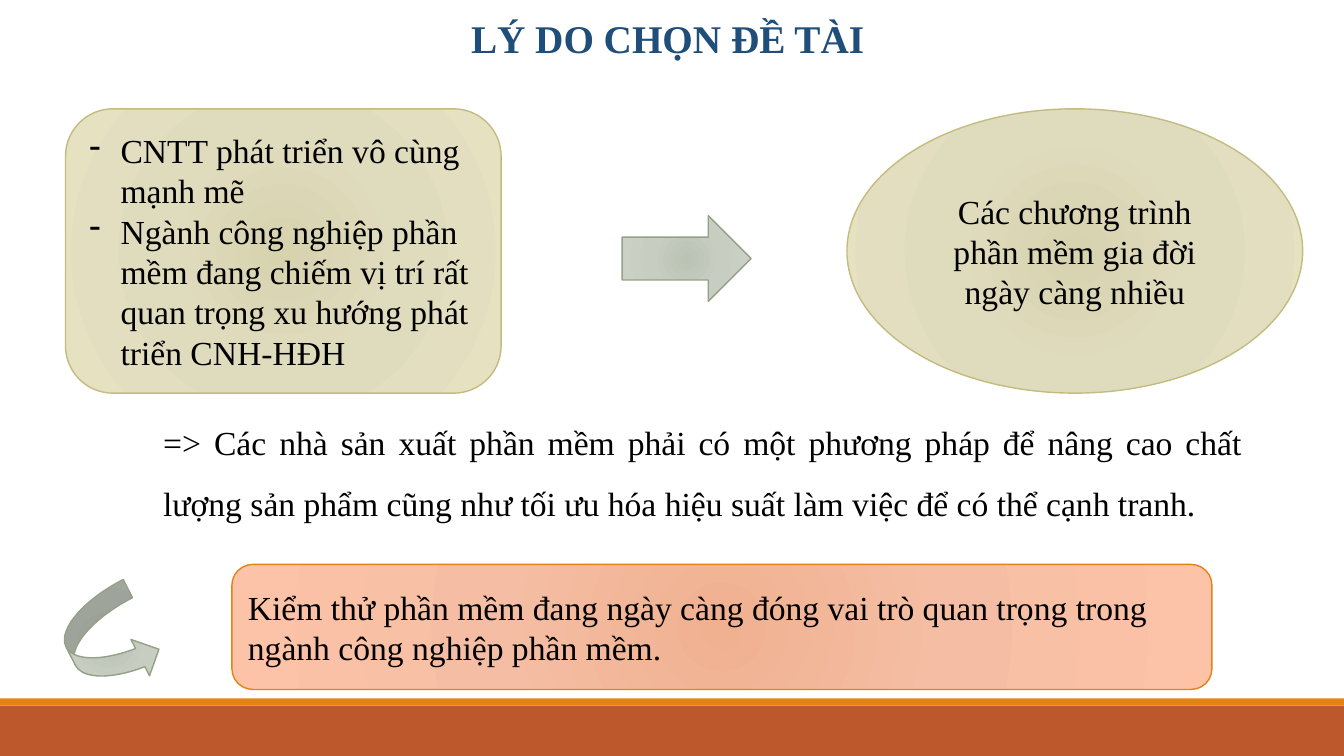
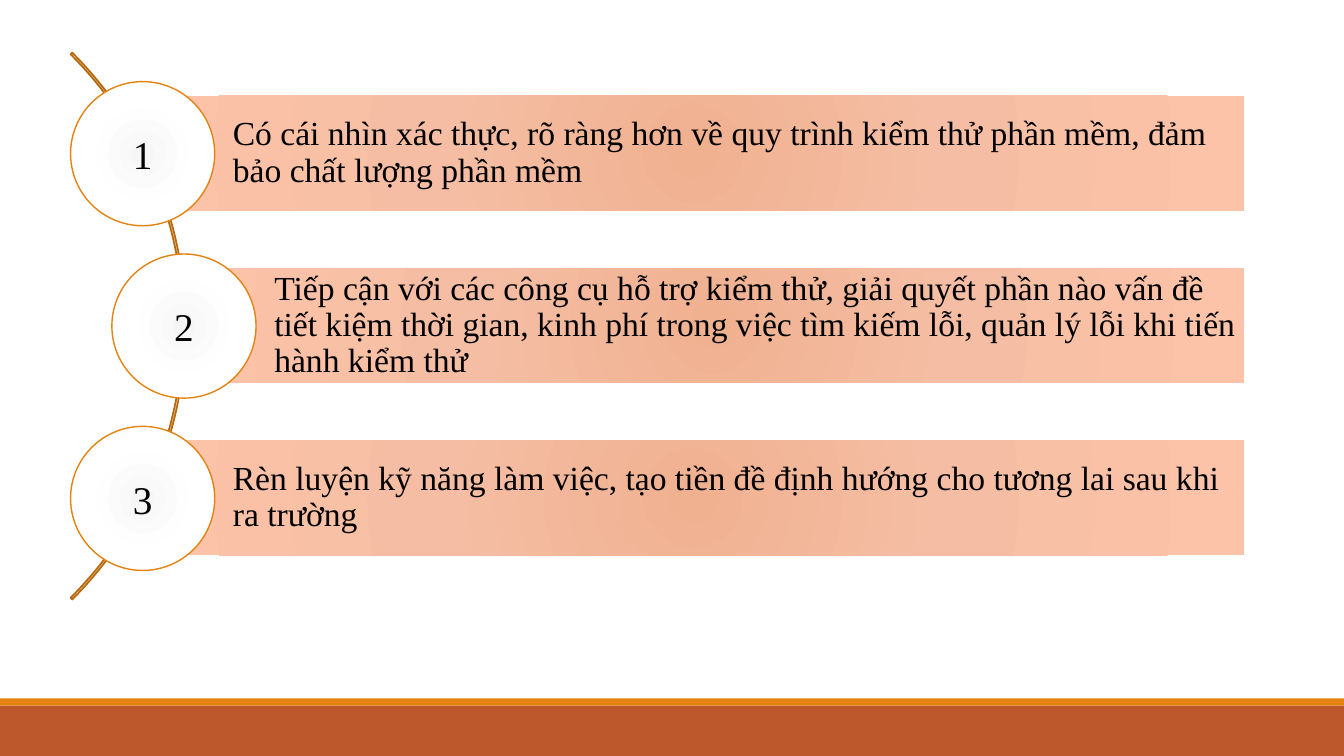
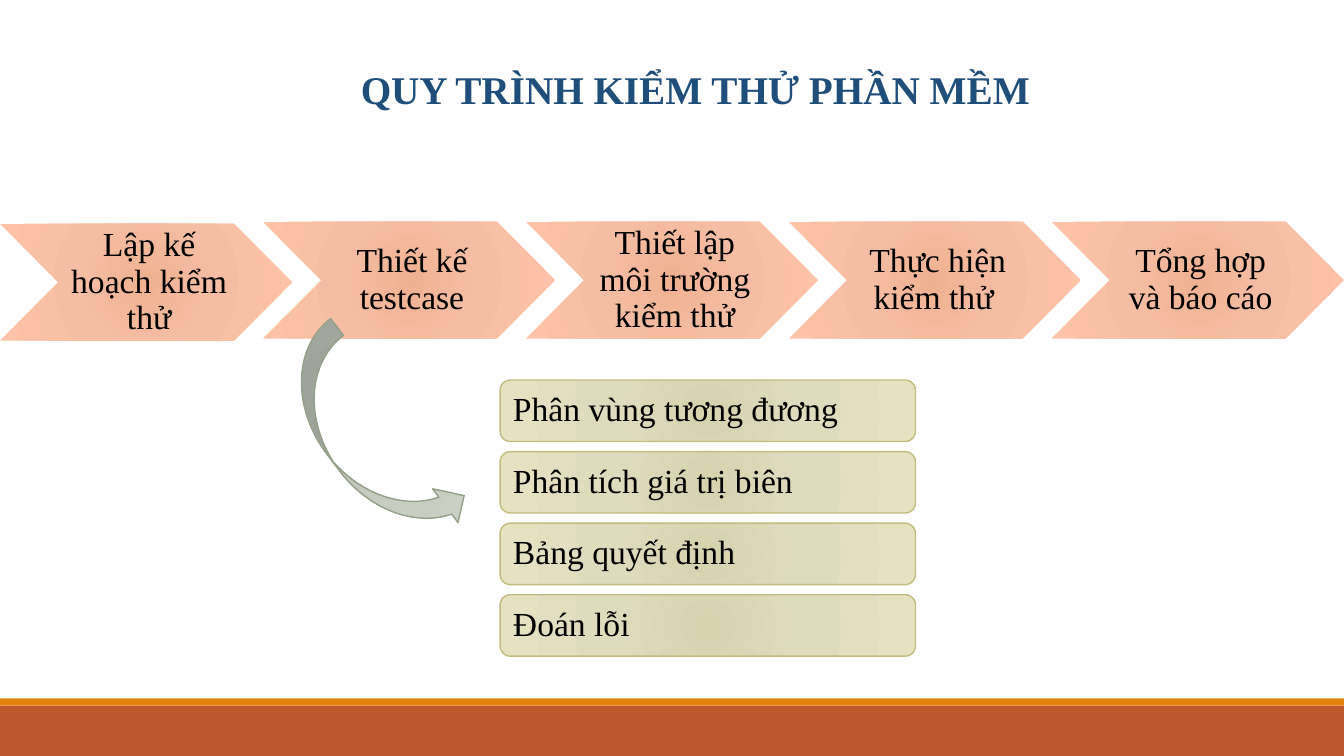
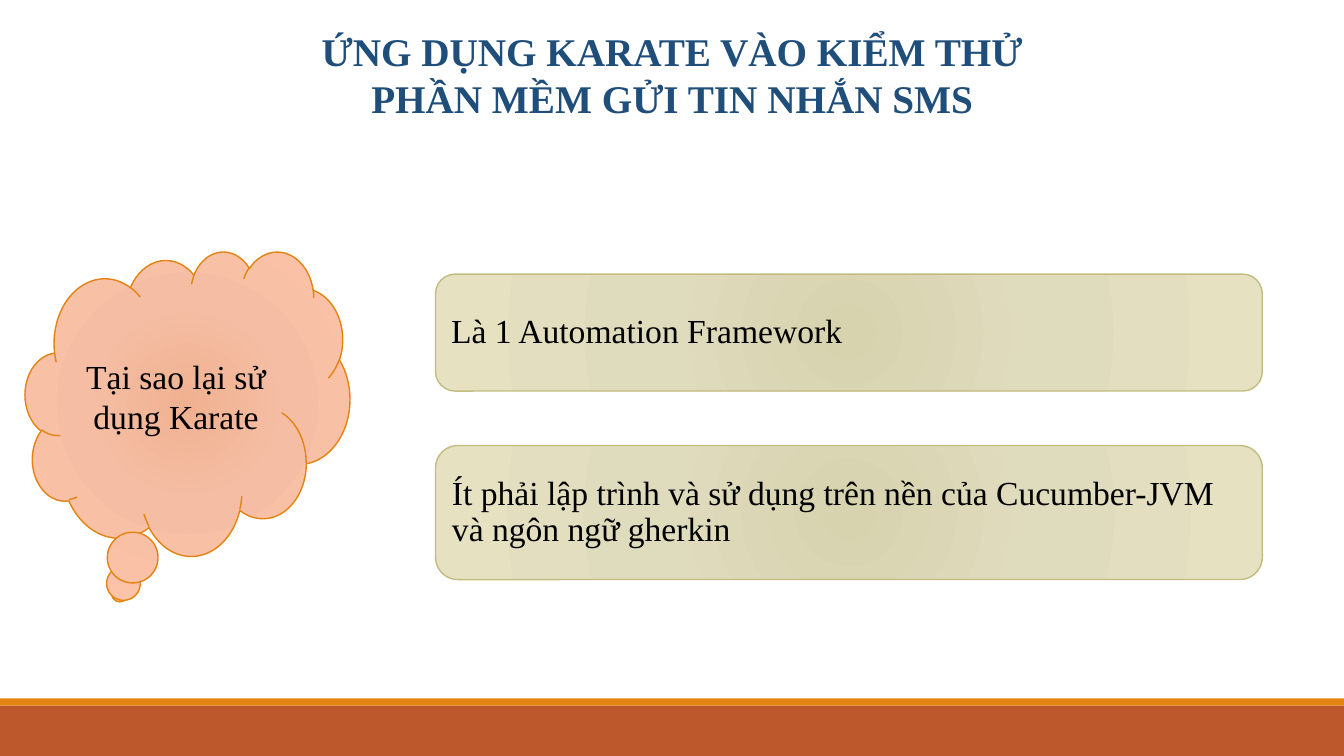
"""Build four slides on software testing."""
from dataclasses import dataclass
from typing import NamedTuple, Optional

from pptx import Presentation
from pptx.dml.color import RGBColor
from pptx.enum.shapes import MSO_SHAPE
from pptx.enum.text import MSO_ANCHOR, PP_ALIGN
from pptx.oxml import parse_xml
from pptx.oxml.ns import nsdecls, qn
from pptx.shapes.autoshape import Shape
from pptx.slide import Slide, SlideLayout
from pptx.text.text import TextFrame
from pptx.util import Inches, Pt

FONT = "Times New Roman"
BLACK = RGBColor(0x00, 0x00, 0x00)
NAVY = RGBColor(0x1E, 0x4E, 0x79)
RUST = RGBColor(0xBD, 0x58, 0x2C)
ORANGE = RGBColor(0xE4, 0x83, 0x12)
BROWN = RGBColor(0xB7, 0x69, 0x0E)
KHAKI = RGBColor(0xC2, 0xBC, 0x80)
MOSS = RGBColor(0x94, 0xA0, 0x88)
SAND_GLOW = (RGBColor(0xD7, 0xD3, 0xAF), RGBColor(0xDF, 0xDB, 0xBD), RGBColor(0xE5, 0xE1, 0xC1))
SAGE_GLOW = (RGBColor(0xBB, 0xC3, 0xB5), RGBColor(0xC7, 0xCD, 0xC1), RGBColor(0xCD, 0xD4, 0xC7))
PEACH_GLOW = (RGBColor(0xF0, 0xB1, 0x91), RGBColor(0xF5, 0xBE, 0xA4), RGBColor(0xFD, 0xC3, 0xA8))
WHITE_GLOW = (RGBColor(0xF6, 0xF6, 0xF6), RGBColor(0xFE, 0xFE, 0xFE), RGBColor(0xFF, 0xFF, 0xFF))
GLOW_STOPS = (0, 45, 100)

SLIDE_WIDTH = 13.33
SLIDE_HEIGHT = 7.5


class Box(NamedTuple):
    left: float
    top: float
    width: float
    height: float

    def lengths(self) -> tuple:
        return tuple(Inches(value) for value in self)


class Insets(NamedTuple):
    left: float = 0.1
    top: float = 0.05
    right: float = 0.1
    bottom: float = 0.05


@dataclass(frozen=True)
class Look:
    glow: tuple[RGBColor, ...] = ()
    solid: Optional[RGBColor] = None
    line: Optional[RGBColor] = None
    line_width: float = 1


class Goal(NamedTuple):
    number: str
    left: float
    text: str


class Reason(NamedTuple):
    top: float
    height: float
    text: str


SAND = Look(SAND_GLOW, line=KHAKI)
SAGE = Look(SAGE_GLOW, line=MOSS)
PEACH = Look(PEACH_GLOW)
PEACH_OUTLINED = Look(PEACH_GLOW, line=ORANGE)
WHITE_DISC = Look(WHITE_GLOW, line=ORANGE)
ARC = Look(line=BROWN, line_width=1.25)

EVEN_INSETS = Insets(0.1, 0.1, 0.1, 0.1)
GOAL_INSETS = Insets(0.9, 0.07, 0.07, 0.07)
STEP_INSETS = Insets(0.1, 0.04, 0.04, 0.04)

GOALS = (
    Goal("1", 1.41, "Có cái nhìn xác thực, rõ ràng hơn về quy trình kiểm thử phần mềm, "
                    "đảm bảo chất lượng phần mềm"),
    Goal("2", 1.82, "Tiếp cận với các công cụ hỗ trợ kiểm thử, giải quyết phần nào vấn đề "
                    "tiết kiệm thời gian, kinh phí trong việc tìm kiếm lỗi, quản lý lỗi "
                    "khi tiến hành kiểm thử"),
    Goal("3", 1.41, "Rèn luyện kỹ năng làm việc, tạo tiền đề định hướng cho tương lai "
                    "sau khi ra trường"),
)
STEPS = ("Lập kế hoạch kiểm thử", "Thiết kế testcase", "Thiết lập môi trường kiểm thử",
         "Thực hiện kiểm thử ", "Tổng hợp và báo cáo")
TECHNIQUES = ("Phân vùng tương đương", "Phân tích giá trị biên", "Bảng quyết định", "Đoán lỗi")
REASONS = (
    Reason(2.72, 1.16, "Là 1 Automation Framework"),
    Reason(4.42, 1.33, "Ít phải lập trình và sử dụng trên nền của Cucumber-JVM "
                       "và ngôn ngữ gherkin"),
)


def write(frame: TextFrame, *lines: str, size: float = 24, color: RGBColor = BLACK,
          bold: bool = False, align: PP_ALIGN = PP_ALIGN.LEFT, spacing: float = 1,
          anchor: MSO_ANCHOR = MSO_ANCHOR.MIDDLE, insets: Insets = Insets(),
          bullet: str = "") -> None:
    """Fill a text frame, one paragraph for each line."""
    frame.word_wrap = True
    frame.vertical_anchor = anchor
    frame.margin_left, frame.margin_top = Inches(insets.left), Inches(insets.top)
    frame.margin_right, frame.margin_bottom = Inches(insets.right), Inches(insets.bottom)
    for index, line in enumerate(lines):
        paragraph = frame.add_paragraph() if index else frame.paragraphs[0]
        paragraph.alignment = align
        paragraph.line_spacing = spacing
        run = paragraph.add_run()
        run.text = line
        run.font.name, run.font.size, run.font.bold = FONT, Pt(size), bold
        run.font.color.rgb = color
        if bullet:
            properties = paragraph._p.get_or_add_pPr()
            properties.set("marL", str(Inches(0.31)))
            properties.set("indent", str(Inches(-0.31)))
            properties.append(parse_xml(f'<a:buChar {nsdecls("a")} char="{bullet}"/>'))


def apply_glow(shape: Shape, colors: tuple[RGBColor, ...]) -> None:
    """Give a shape a round gradient from its centre outwards."""
    stops = "".join(f'<a:gs pos="{stop * 1000}"><a:srgbClr val="{color}"/></a:gs>'
                    for stop, color in zip(GLOW_STOPS, colors))
    gradient = parse_xml(
        f'<a:gradFill {nsdecls("a")} rotWithShape="1"><a:gsLst>{stops}</a:gsLst>'
        '<a:path path="circle"><a:fillToRect l="100000" t="100000" r="100000" b="100000"/>'
        '</a:path></a:gradFill>')
    shape.fill.solid()
    properties = shape.element.spPr
    properties.replace(properties.find(qn("a:solidFill")), gradient)


def draw(slide: Slide, kind: MSO_SHAPE, box: Box, look: Look, rotation: float = 0) -> Shape:
    """Add a preset shape with the given look."""
    shape = slide.shapes.add_shape(kind, *box.lengths())
    shape.shadow.inherit = False
    shape.rotation = rotation
    if look.glow:
        apply_glow(shape, look.glow)
    elif look.solid is not None:
        shape.fill.solid()
        shape.fill.fore_color.rgb = look.solid
    else:
        shape.fill.background()
    if look.line is None:
        shape.line.fill.background()
    else:
        shape.line.color.rgb = look.line
        shape.line.width = Pt(look.line_width)
    return shape


def add_text(slide: Slide, box: Box, text: str, **style) -> None:
    """Add a text box that reads from the top."""
    frame = slide.shapes.add_textbox(*box.lengths()).text_frame
    write(frame, text, anchor=MSO_ANCHOR.TOP, **style)


def add_title(slide: Slide, box: Box, text: str) -> None:
    """Add a slide title in the shared style."""
    add_text(slide, box, text, size=28, color=NAVY, bold=True, align=PP_ALIGN.CENTER)


def set_up_layout(layout: SlideLayout, slide: Slide) -> None:
    """Put the two bottom bands on the layout that all slides share."""
    for placeholder in list(layout.placeholders):
        layout.shapes.element.remove(placeholder.element)
    for top, height, color in ((7, 0.5, RUST), (6.93, 0.07, ORANGE)):
        band = draw(slide, MSO_SHAPE.RECTANGLE, Box(0, top, SLIDE_WIDTH, height),
                    Look(solid=color))
        layout.shapes.element.append(band.element)


def build_motivation(slide: Slide) -> None:
    """Show why the topic was chosen."""
    add_title(slide, Box(2.95, 0.09, 7.44, 0.57), "LÝ DO CHỌN ĐỀ TÀI ")
    context = draw(slide, MSO_SHAPE.ROUNDED_RECTANGLE, Box(0.65, 1.08, 4.32, 2.82), SAND)
    write(context.text_frame, "CNTT phát triển vô cùng mạnh mẽ",
          "Ngành công nghiệp phần mềm đang chiếm vị trí rất quan trọng "
          "xu hướng phát triển CNH-HĐH", bullet="-")
    draw(slide, MSO_SHAPE.RIGHT_ARROW, Box(6.17, 2.14, 1.28, 0.85), SAGE)
    outcome = draw(slide, MSO_SHAPE.OVAL, Box(8.4, 1.08, 4.52, 2.82), SAND)
    write(outcome.text_frame, "Các chương trình phần mềm gia đời ngày càng nhiều",
          align=PP_ALIGN.CENTER)
    add_text(slide, Box(1.52, 3.94, 10.9, 1.24),
             "=> Các nhà sản xuất phần mềm phải có một phương pháp để nâng cao chất lượng "
             "sản phẩm cũng như tối ưu hóa hiệu suất làm việc để có thể cạnh tranh. ",
             align=PP_ALIGN.JUSTIFY, spacing=1.5)
    draw(slide, MSO_SHAPE.CURVED_RIGHT_ARROW, Box(0.68, 5.88, 0.81, 0.98), SAGE, 332.9)
    conclusion = draw(slide, MSO_SHAPE.FLOWCHART_ALTERNATE_PROCESS,
                      Box(2.3, 5.6, 9.72, 1.24), PEACH_OUTLINED)
    write(conclusion.text_frame, "Kiểm thử phần mềm đang ngày càng đóng vai trò quan trọng "
                                 "trong ngành công nghiệp phần mềm.")


def build_goals(slide: Slide) -> None:
    """List the numbered goals along an arc."""
    arc = draw(slide, MSO_SHAPE.BLOCK_ARC, Box(-5.83, -0.6, 7.67, 7.67), ARC)
    for index, value in enumerate((189, 27, 0.003)):
        arc.adjustments[index] = value
    right_edge, first_top, pitch = 12.34, 0.95, 1.71
    for index, goal in enumerate(GOALS):
        top = first_top + index * pitch
        bar = draw(slide, MSO_SHAPE.RECTANGLE,
                   Box(goal.left, top, right_edge - goal.left, 1.14), PEACH)
        write(bar.text_frame, goal.text, spacing=0.9, insets=GOAL_INSETS)
        disc = draw(slide, MSO_SHAPE.OVAL, Box(goal.left - 0.71, top - 0.14, 1.43, 1.43),
                    WHITE_DISC)
        write(disc.text_frame, goal.number, size=28, align=PP_ALIGN.CENTER)


def build_process(slide: Slide) -> None:
    """Show the testing steps and the test design techniques."""
    step_width = 2.9
    step_pitch = (SLIDE_WIDTH - step_width) / (len(STEPS) - 1)
    for index, name in enumerate(STEPS):
        top = 2.2 if index else 2.22
        step = draw(slide, MSO_SHAPE.CHEVRON, Box(index * step_pitch, top, step_width, 1.16),
                    PEACH)
        write(step.text_frame, name, align=PP_ALIGN.CENTER, spacing=0.9, insets=STEP_INSETS)
    add_title(slide, Box(2.87, 0.6, 8.05, 0.57), "QUY TRÌNH KIỂM THỬ PHẦN MỀM")
    draw(slide, MSO_SHAPE.CURVED_RIGHT_ARROW, Box(3.25, 3.17, 0.84, 2.41), SAGE, 323)
    for index, name in enumerate(TECHNIQUES):
        technique = draw(slide, MSO_SHAPE.ROUNDED_RECTANGLE,
                         Box(4.96, 3.77 + index * 0.71, 4.12, 0.61), SAND)
        write(technique.text_frame, name, spacing=0.9, insets=EVEN_INSETS)


def build_karate(slide: Slide) -> None:
    """Give the reasons for using Karate."""
    add_title(slide, Box(2.64, 0.22, 8.05, 1.04),
              "ỨNG DỤNG KARATE VÀO KIỂM THỬ PHẦN MỀM GỬI TIN NHẮN SMS")
    question = draw(slide, MSO_SHAPE.CLOUD_CALLOUT, Box(0.25, 2.49, 3.22, 3.02),
                    PEACH_OUTLINED)
    write(question.text_frame, "Tại sao lại sử dụng Karate", align=PP_ALIGN.CENTER)
    for reason in REASONS:
        panel = draw(slide, MSO_SHAPE.ROUNDED_RECTANGLE,
                     Box(4.32, reason.top, 8.2, reason.height), SAND)
        write(panel.text_frame, reason.text, spacing=0.9, insets=EVEN_INSETS)


def main() -> None:
    """Build and save the presentation."""
    presentation = Presentation()
    presentation.slide_width = Inches(SLIDE_WIDTH)
    presentation.slide_height = Inches(SLIDE_HEIGHT)
    blank = presentation.slide_layouts[6]
    builders = (build_motivation, build_goals, build_process, build_karate)
    slides = [presentation.slides.add_slide(blank) for _ in builders]
    set_up_layout(blank, slides[0])
    for build, slide in zip(builders, slides):
        build(slide)
    presentation.save("out.pptx")


if __name__ == "__main__":
    main()
